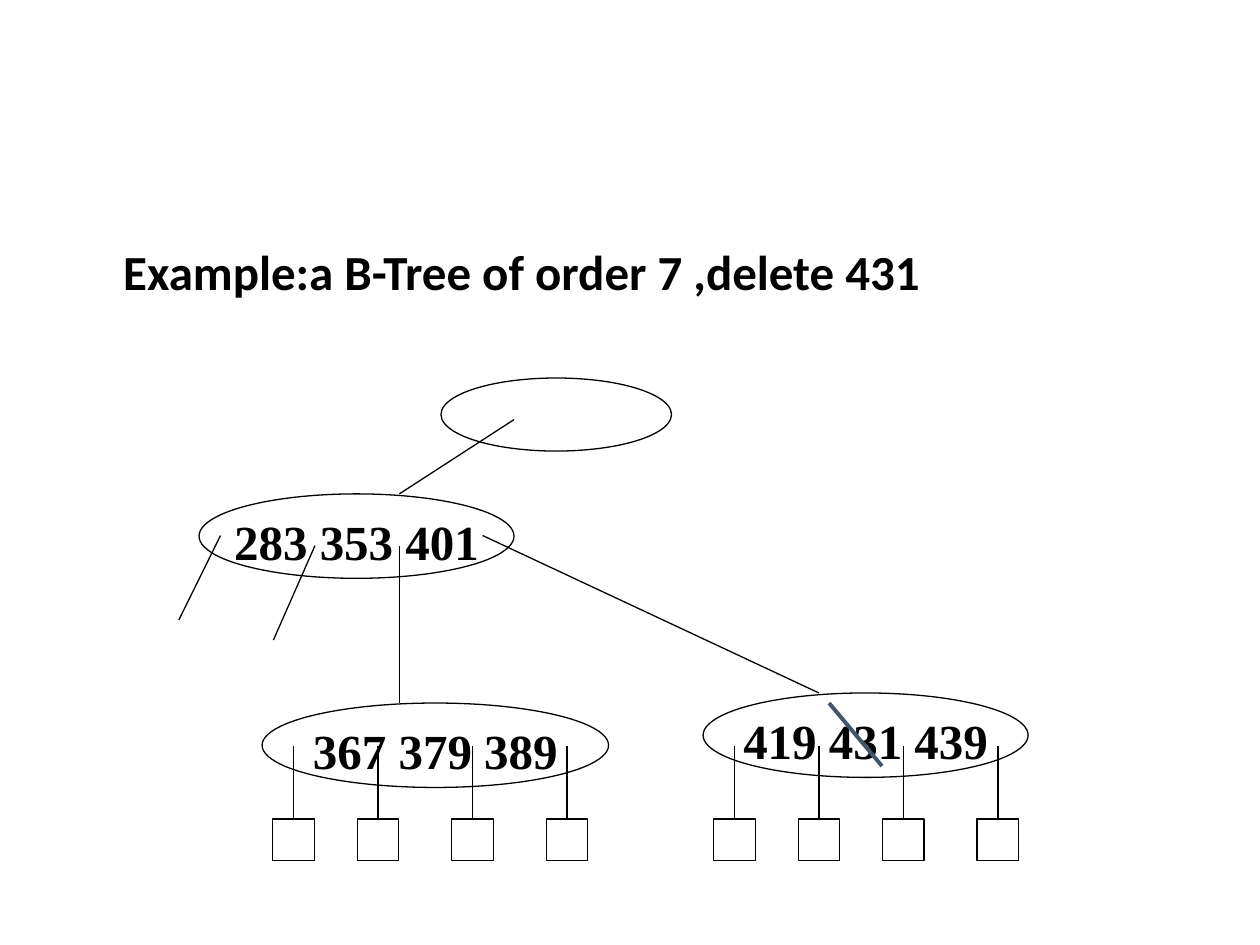
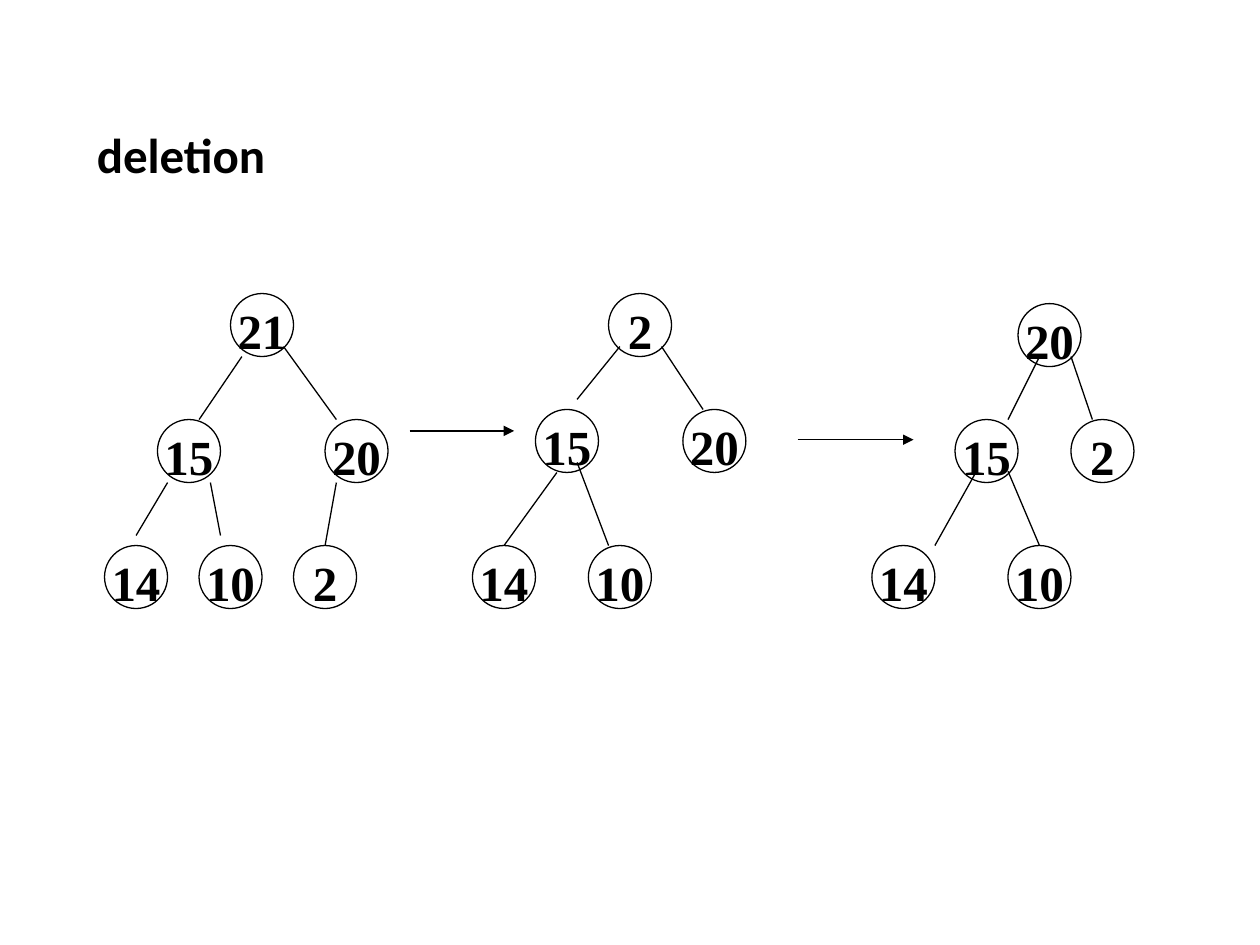
from lxml import etree
from pptx import Presentation
from pptx.dml.color import RGBColor
from pptx.enum.shapes import MSO_CONNECTOR, MSO_SHAPE
from pptx.enum.text import MSO_ANCHOR, PP_ALIGN
from pptx.oxml.ns import qn
from pptx.util import Inches, Pt

BLACK = RGBColor(0x00, 0x00, 0x00)
SLATE = RGBColor(0x44, 0x54, 0x6A)
HEADING_FONT, KEY_FONT = "Calibri", "Times New Roman"
TEXT_SIZE = Pt(28)
THIN, THICK = Pt(0.75), Pt(2.25)
OVAL, RECTANGLE = MSO_SHAPE.OVAL, MSO_SHAPE.RECTANGLE
STRAIGHT = MSO_CONNECTOR.STRAIGHT
CENTER, MIDDLE = PP_ALIGN.CENTER, MSO_ANCHOR.MIDDLE
TOP_SIDE = 0

LEAF_SIZE = 0.33
LEAF_TOP = 6.5
NODE_SIZE = 0.5

# Each ellipse: left, top, width, height, keys
BTREE_NODES = [
    (3.5, 3, 1.83, 0.58, ""),
    (1.58, 3.92, 2.5, 0.67, "283 353 401"),
    (2.08, 5.58, 2.75, 0.67, "367 379 389"),
    (5.58, 5.5, 2.58, 0.67, "419 431 439"),
]
# Each edge: start x, start y, end x, end y
BTREE_EDGES = [
    (4.08, 3.33, 3.17, 3.92),
    (1.75, 4.25, 1.42, 4.92),
    (2.5, 4.33, 2.17, 5.08),
    (3.17, 4.33, 3.17, 5.58),
    (3.83, 4.25, 6.5, 5.5),
]
LEAF_CENTERS = [2.33, 3, 3.75, 4.5, 5.83, 6.5, 7.17, 7.92]

# Each heap: nodes as (key, left, top), then edges
HEAPS = [
    ([("21", 1.83, 2.33), ("15", 1.25, 3.33), ("20", 2.58, 3.33),
      ("14", 0.83, 4.33), ("10", 1.58, 4.33), ("2", 2.33, 4.33)],
     [(1.92, 2.83, 1.58, 3.33), (2.25, 2.75, 2.67, 3.33),
      (1.33, 3.83, 1.08, 4.25), (1.67, 3.83, 1.75, 4.25),
      (2.67, 3.83, 2.58, 4.33)]),
    ([("2", 4.83, 2.33), ("15", 4.25, 3.25), ("20", 5.42, 3.25),
      ("14", 3.75, 4.33), ("10", 4.67, 4.33)],
     [(4.92, 2.75, 4.58, 3.17), (5.25, 2.75, 5.58, 3.25),
      (4.42, 3.75, 4, 4.33), (4.58, 3.67, 4.83, 4.33)]),
    ([("20", 8.08, 2.41), ("15", 7.58, 3.33), ("2", 8.5, 3.33),
      ("14", 6.92, 4.33), ("10", 8, 4.33)],
     [(8.25, 2.83, 8, 3.33), (8.5, 2.83, 8.67, 3.33),
      (7.75, 3.74, 7.42, 4.33), (8, 3.74, 8.25, 4.33)]),
]
HEAP_ARROWS = [(3.25, 3.42, 4.08, 3.42), (6.33, 3.49, 7.25, 3.49)]


class TreeDeck:
    """Holds the presentation, its text and line style, and the current slide."""

    def __init__(self):
        self.presentation = Presentation()
        self.presentation.slide_width = Inches(10)
        self.presentation.slide_height = Inches(7.5)
        self.slide = None

    def new_slide(self):
        blank = self.presentation.slide_layouts[6]
        self.slide = self.presentation.slides.add_slide(blank)

    def bold_run(self, paragraph, text, font_name):
        run = paragraph.add_run()
        run.text = text
        run.font.name = font_name
        run.font.size = TEXT_SIZE
        run.font.bold = True
        run.font.color.rgb = BLACK

    def heading(self, text, left, top, height):
        box = self.slide.shapes.add_textbox(
            Inches(left), Inches(top), Inches(8.5), Inches(height))
        box.text_frame.word_wrap = True
        paragraph = box.text_frame.paragraphs[0]
        paragraph.line_spacing = 0.9
        self.bold_run(paragraph, text, HEADING_FONT)

    def outline(self, preset, left, top, width, height):
        """Draw an unfilled shape with a thin black line."""
        shape = self.slide.shapes.add_shape(
            preset, Inches(left), Inches(top), Inches(width), Inches(height))
        shape.shadow.inherit = False
        shape.fill.background()
        shape.line.color.rgb = BLACK
        shape.line.width = THIN
        return shape

    def node(self, left, top, width, height, keys):
        ellipse = self.outline(OVAL, left, top, width, height)
        if not keys:
            return
        frame = ellipse.text_frame
        frame.word_wrap = False
        frame.vertical_anchor = MIDDLE
        frame.margin_top = Inches(0.12)
        paragraph = frame.paragraphs[0]
        paragraph.alignment = CENTER
        self.bold_run(paragraph, keys, KEY_FONT)

    def edge(self, x1, y1, x2, y2, color=BLACK, width=THIN, arrow=False):
        connector = self.slide.shapes.add_connector(
            STRAIGHT, Inches(x1), Inches(y1), Inches(x2), Inches(y2))
        connector.line.color.rgb = color
        connector.line.width = width
        properties = connector._element.spPr
        if arrow:
            line = properties.find(qn("a:ln"))
            etree.SubElement(line, qn("a:tailEnd"), type="triangle")
        etree.SubElement(properties, qn("a:effectLst"))
        return connector

    def leaf(self, center):
        """Draw an empty leaf hanging from its parent node."""
        square = self.outline(RECTANGLE, center - LEAF_SIZE / 2, LEAF_TOP,
                              LEAF_SIZE, LEAF_SIZE)
        link = self.edge(center, 5.92, center, LEAF_TOP)
        link.end_connect(square, TOP_SIDE)


def btree_slide(deck):
    deck.new_slide()
    deck.heading("Example:a B-Tree of order 7 ,delete 431", 0.88, 1.92, 5)
    for node in BTREE_NODES:
        deck.node(*node)
    for edge in BTREE_EDGES:
        deck.edge(*edge)
    for center in LEAF_CENTERS:
        deck.leaf(center)
    deck.edge(6.58, 5.58, 7, 6.08, color=SLATE, width=THICK)


def heap_slide(deck):
    deck.new_slide()
    deck.heading("deletion", 0.67, 0.99, 4.5)
    for nodes, edges in HEAPS:
        for key, left, top in nodes:
            deck.node(left, top, NODE_SIZE, NODE_SIZE, key)
        for edge in edges:
            deck.edge(*edge)
    for arrow in HEAP_ARROWS:
        deck.edge(*arrow, arrow=True)


def main():
    deck = TreeDeck()
    btree_slide(deck)
    heap_slide(deck)
    deck.presentation.save("out.pptx")


if __name__ == "__main__":
    main()
